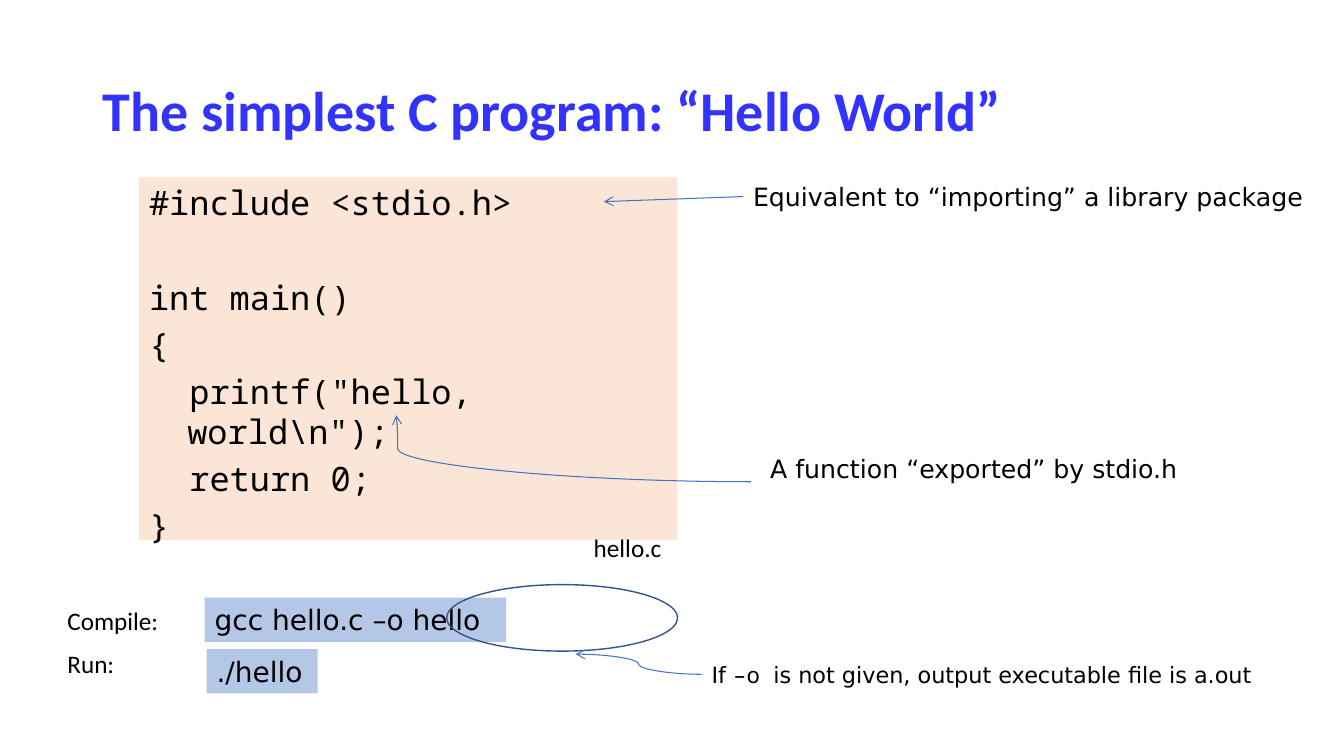
from lxml import etree
from pptx import Presentation
from pptx.dml.color import RGBColor
from pptx.enum.shapes import MSO_CONNECTOR, MSO_SHAPE
from pptx.enum.text import MSO_ANCHOR, MSO_AUTO_SIZE, PP_ALIGN
from pptx.oxml.ns import qn
from pptx.util import Pt

PX = 9144  # EMU in one px, at 100 px to the inch
RECT, OVAL = MSO_SHAPE.RECTANGLE, MSO_SHAPE.OVAL
LINE, CURVE = MSO_CONNECTOR.STRAIGHT, MSO_CONNECTOR.CURVE
TOP, MIDDLE = MSO_ANCHOR.TOP, MSO_ANCHOR.MIDDLE
GROW, FIXED = MSO_AUTO_SIZE.SHAPE_TO_FIT_TEXT, MSO_AUTO_SIZE.NONE
LEFT = PP_ALIGN.LEFT

SANS, MONO, LABEL = "DejaVu Sans", "Noto Sans Mono", "Calibri"
COLORS = {
    "title": "3333FF",
    "text": "000000",
    "code": "FBE5D6",
    "shell": "B4C7E7",
    "arrow": "4472C4",
    "ring": "325491",
}
CODE = [
    "#include <stdio.h>",
    "int main()",
    "{",
    '  printf("hello, world\\n");',
    "  return 0;",
    "}",
]
CODE_GAP = 4.8
BLANK_LINE = 38.4  # space that stands for the empty line of code


def color(name):
    return RGBColor.from_string(COLORS[name])


def write(shape, lines, size=18, font=SANS, ink="text", bold=False,
          wrap=False, anchor=TOP, gaps=None, hang=0, pitch=None):
    """Fill a shape with lines; a line is a string or a list of (text, font)."""
    frame = shape.text_frame
    frame.word_wrap = wrap
    frame.auto_size = FIXED if wrap else GROW
    frame.vertical_anchor = anchor
    for i, line in enumerate(lines):
        para = frame.paragraphs[0] if i == 0 else frame.add_paragraph()
        para.alignment = LEFT
        para.line_spacing = pitch
        if gaps and i:
            para.space_before = Pt(gaps[i])
        if hang:
            props = para._p.get_or_add_pPr()
            props.set("marL", str(hang * PX))
            props.set("indent", str(-hang * PX))
        for words, face in [(line, font)] if isinstance(line, str) else line:
            run = para.add_run()
            run.text = words
            run.font.name = face
            run.font.size = Pt(size)
            run.font.bold = bold
            run.font.color.rgb = color(ink)


class Deck:
    def __init__(self, width, height):
        self.prs = Presentation()
        self.prs.slide_width, self.prs.slide_height = width * PX, height * PX
        self.slide = self.prs.slides.add_slide(self.prs.slide_layouts[6])

    def text(self, box, lines, **style):
        shape = self.slide.shapes.add_textbox(*(n * PX for n in box))
        write(shape, lines, **style)
        return shape

    def shape(self, kind, box, fill=None, line=None):
        shape = self.slide.shapes.add_shape(kind, *(n * PX for n in box))
        shape.shadow.inherit = False
        if fill:
            shape.fill.solid()
            shape.fill.fore_color.rgb = color(fill)
        else:
            shape.fill.background()
        if line:
            shape.line.color.rgb = color(line)
            shape.line.width = Pt(1)
        else:
            shape.line.fill.background()
        return shape

    def panel(self, box, fill, lines, **style):
        write(self.shape(RECT, box, fill), lines, **style)

    def arrow(self, kind, start, end, bend=None):
        link = self.slide.shapes.add_connector(
            kind, *(n * PX for n in start + end))
        link.line.color.rgb = color("arrow")
        link.line.width = Pt(0.75)
        props = link._element.spPr
        etree.SubElement(props.find(qn("a:ln")), qn("a:tailEnd"), type="arrow")
        etree.SubElement(props, qn("a:effectLst"))
        if bend is not None:
            guides = props.find(qn("a:prstGeom")).find(qn("a:avLst"))
            etree.SubElement(guides, qn("a:gd"), name="adj1",
                             fmla=f"val {round(bend * 100000)}")
        return link


def main():
    deck = Deck(1333, 750)
    deck.text((92, 40, 1150, 145), ["The simplest C program: “Hello World”"],
              size=40, font=LABEL, ink="title", bold=True, wrap=True,
              anchor=MIDDLE, pitch=0.9)

    gaps = [BLANK_LINE if line == "int main()" else CODE_GAP for line in CODE]
    deck.panel((138, 176, 534, 360), "code", CODE, size=24, font=MONO,
               wrap=True, gaps=gaps, hang=38)

    note = deck.text((737, 175, 568, 40),
                     ["Equivalent to “importing” a library package"])
    link = deck.arrow(LINE, (737, 195), (599, 200))
    link.begin_connect(note, 1)

    deck.text((754, 445, 441, 18), ["A function “exported” by stdio.h"])
    deck.arrow(CURVE, (745, 478), (393, 412), bend=0.996)

    deck.panel((203, 593, 299, 44), "shell", ["gcc hello.c –o hello"], size=20)
    deck.panel((205, 644, 110, 44), "shell", ["./hello"], size=20)
    for box, label in (((57, 596, 117, 40), "Compile:"),
                       ((57, 638, 73, 40), "Run:"),
                       ((579, 523, 88, 40), "hello.c")):
        deck.text(box, [label], font=LABEL)

    deck.shape(OVAL, (443, 580, 229, 66), line="ring")
    deck.text((696, 651, 565, 37),
              [[("If ", SANS), ("–o ", MONO),
                ("is not given, output executable file is a.out", SANS)]],
              size=16)
    deck.arrow(CURVE, (696, 669), (571, 649), bend=0.5)

    deck.prs.save("out.pptx")


if __name__ == "__main__":
    main()
